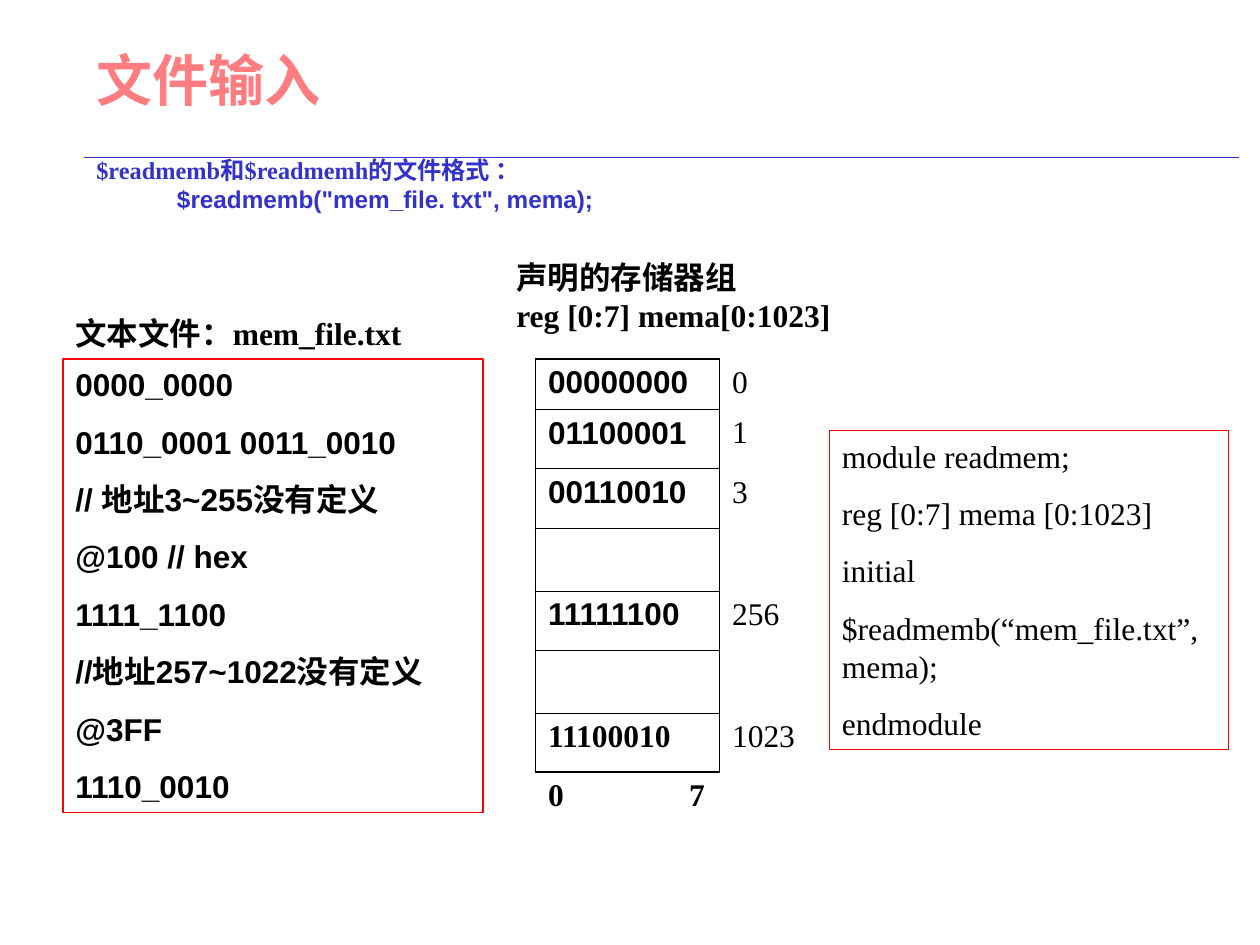
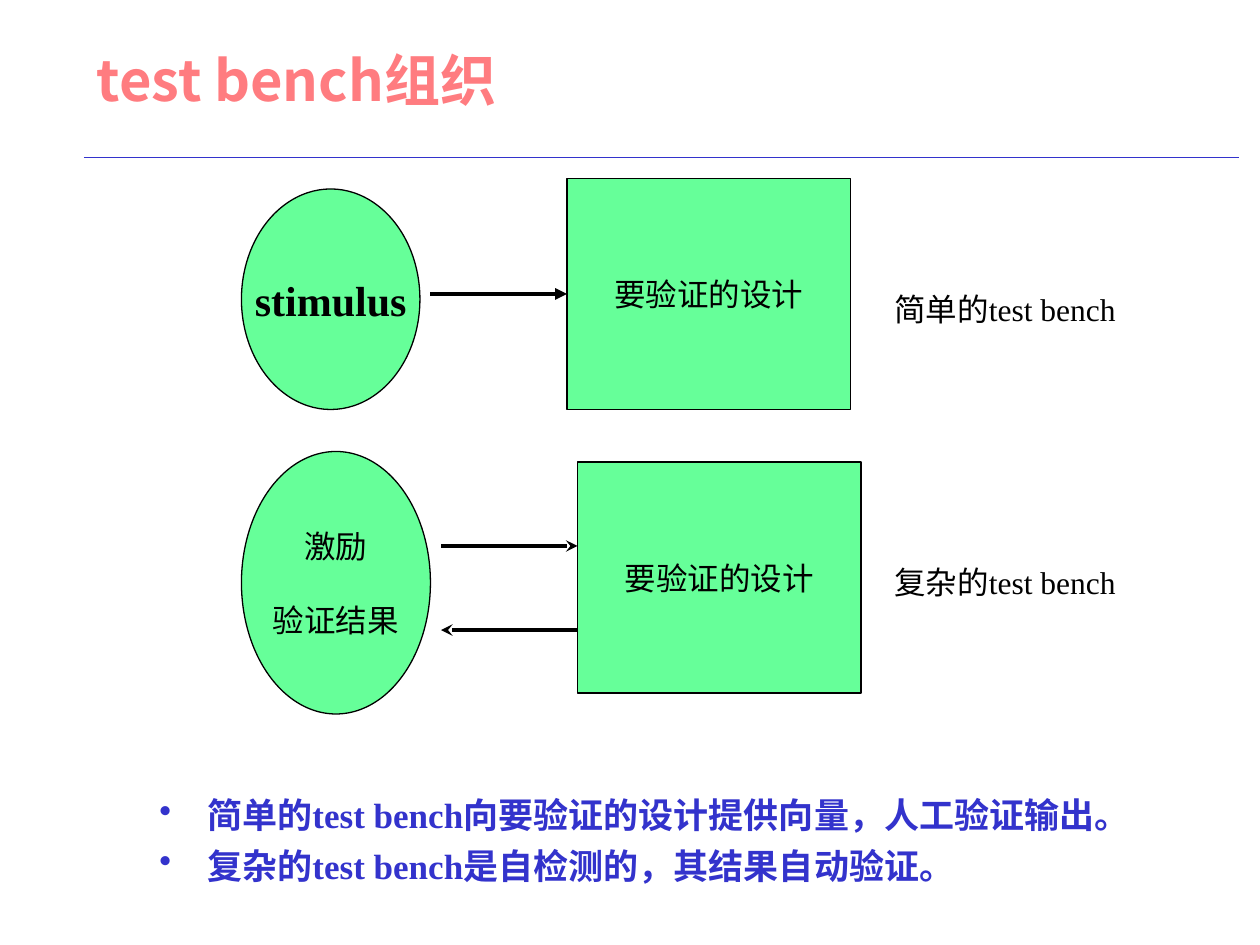
"""Build two Verilog slides: memory file input and test bench organisation."""
from lxml import etree
from pptx import Presentation
from pptx import util as u
from pptx.dml.color import RGBColor
from pptx.enum import shapes, text
from pptx.oxml.ns import qn

BLACK, BLUE, PINK, RED, GREEN = "000000", "3333CC", "FF7C80", "FF0000", "66FF99"
SERIF, SANS, CHINESE = "Times New Roman", "Arial", "Noto Sans CJK SC"
UNIT = u.Inches(10) // 120
TITLE_PLACE = (8, 0, 104, 15)
RULE = (8, 15, 118, 15)

INPUT_TITLE = "文件输入"
FORMAT_LINES = [("$readmemb和$readmemh的文件格式 ：", SERIF, 0),
                ('$readmemb("mem_file. txt", mema);', SANS, 0.64)]
FILE_HEADING = ["文本文件：mem_file.txt"]
FILE_LINES = ["0000_0000", "0110_0001 0011_0010", "// 地址3~255没有定义", "@100 // hex",
              "1111_1100", "//地址257~1022没有定义", "@3FF", "1110_0010"]
MEMORY_HEADING = ["声明的存储器组", "reg [0:7] mema[0:1023]"]
MEMORY_ROWS = [("00000000", "0", SANS, 0.4), ("01100001", "1", SANS, 0.47),
               ("00110010", "3", SANS, 0.47), ("", "", SANS, 0.5),
               ("11111100", "256", SANS, 0.47), ("", "", SANS, 0.5),
               ("11100010", "1023", SERIF, 0.47), ("0\t7", "", SERIF, 0.47)]
MEMORY_COLUMNS = (1.46, 2.04)
BIT_TAB = 1.12
MODULE_LINES = ["module readmem;", "reg [0:7] mema [0:1023]", "initial",
                "$readmemb(“mem_file.txt”, mema);", "endmodule"]

BENCH_TITLE = "test bench组织"
DESIGN = ["要验证的设计"]
BENCHES = [
    {"label": ["简单的test bench"], "label_place": (84, 27, 32, 4.8),
     "driver": ["stimulus"], "driver_style": {"size": 24, "bold": True},
     "driver_place": (23, 18, 17, 21), "design_place": (54, 17, 27, 22),
     "arrows": [(41, 28, 54, 28)], "head": "triangle"},
    {"label": ["复杂的test bench"], "label_place": (84, 53, 32, 4.8),
     "driver": ["激励", "验证结果"], "driver_style": {"before": 21},
     "driver_place": (23, 43, 18, 25), "design_place": (55, 44, 27, 22),
     "arrows": [(42, 52, 55, 52), (55, 60, 42, 60)], "head": "stealth"},
]
BENCH_NOTES = ["简单的test bench向要验证的设计提供向量，人工验证输出。",
               "复杂的test bench是自检测的，其结果自动验证。"]


def color(value):
    return RGBColor.from_string(value)


def grid(place):
    return [round(value * UNIT) for value in place]


def write(paragraph, words, font=SERIF, size=18, ink=BLACK, bold=False, before=0,
          align=text.PP_ALIGN.LEFT):
    paragraph.alignment = align
    paragraph.space_before = u.Pt(before)
    run = paragraph.add_run()
    run.text = words
    run.font.name, run.font.size, run.font.bold = font, u.Pt(size), bold
    run.font.color.rgb = color(ink)
    east_asian = etree.Element(qn("a:ea"), typeface=CHINESE)
    run.font._element.find(qn("a:latin")).addnext(east_asian)


def fill_frame(frame, lines, anchor=text.MSO_ANCHOR.TOP, wrap=True, **style):
    frame.word_wrap = wrap
    frame.auto_size = text.MSO_AUTO_SIZE.NONE
    frame.vertical_anchor = anchor
    for number, words in enumerate(lines):
        paragraph = frame.add_paragraph() if number else frame.paragraphs[0]
        write(paragraph, words, **style)
    return frame.paragraphs


def add_text(container, place, lines, **style):
    box = container.shapes.add_textbox(*grid(place))
    return fill_frame(box.text_frame, lines, **style)


def add_box(container, kind, place, lines, outline, fill=None, **style):
    shape = container.shapes.add_shape(kind, *grid(place))
    shape.shadow.inherit = False
    if fill:
        shape.fill.solid()
        shape.fill.fore_color.rgb = color(fill)
    else:
        shape.fill.background()
    shape.line.color.rgb = color(outline)
    shape.line.width = u.Pt(0.75)
    fill_frame(shape.text_frame, lines, **style)


def add_line(container, ends, ink, width, head=None):
    connector = container.shapes.add_connector(shapes.MSO_CONNECTOR.STRAIGHT, *grid(ends))
    connector.line.color.rgb = color(ink)
    connector.line.width = u.Pt(width)
    properties = connector._element.spPr
    if head:
        etree.SubElement(properties.find(qn("a:ln")), qn("a:tailEnd"), type=head)
    etree.SubElement(properties, qn("a:effectLst"))


def add_slide(presentation, title):
    slide = presentation.slides.add_slide(presentation.slide_layouts[5])
    heading = slide.shapes.title
    heading.left, heading.top, heading.width, heading.height = grid(TITLE_PLACE)
    fill_frame(heading.text_frame, [title], anchor=text.MSO_ANCHOR.MIDDLE,
               font=CHINESE, size=32, ink=PINK, bold=True)
    add_line(slide, RULE, BLUE, 0.75)
    return slide


def set_borders(cell, widths):
    cell.fill.background()
    properties = cell._tc.get_or_add_tcPr()
    for position, (side, width) in enumerate(zip("LRTB", widths)):
        line = etree.Element(qn(f"a:ln{side}"), w=str(u.Pt(width)))
        if width:
            solid = etree.SubElement(line, qn("a:solidFill"))
            etree.SubElement(solid, qn("a:srgbClr"), val=BLACK)
        else:
            etree.SubElement(line, qn("a:noFill"))
        properties.insert(position, line)


def add_memory_table(slide):
    outer, inner = 1.08, 0.45
    last = len(MEMORY_ROWS) - 1
    size = [u.Inches(sum(MEMORY_COLUMNS)), u.Inches(sum(row[3] for row in MEMORY_ROWS))]
    table = slide.shapes.add_table(last + 1, 2, *grid((51, 34.2)), *size).table
    table.first_row = table.horz_banding = False
    for column, width in zip(table.columns, MEMORY_COLUMNS):
        column.width = u.Inches(width)
    for number, (word, address, font, height) in enumerate(MEMORY_ROWS):
        table.rows[number].height = u.Inches(height)
        side = outer if number < last else 0
        top = outer if number in (0, last) else inner
        bottom = 0 if number == last else outer if number == last - 1 else inner
        set_borders(table.cell(number, 0), (side, side, top, bottom))
        set_borders(table.cell(number, 1), (side, 0, 0, 0))
        for column, (words, face) in enumerate([(word, font), (address, SERIF)]):
            if words:
                write(table.cell(number, column).text_frame.paragraphs[0], words,
                      font=face, bold=column == 0, before=4.5)
    bits = table.cell(last, 0).text_frame.paragraphs[0]._p.get_or_add_pPr()
    tabs = etree.SubElement(bits, qn("a:tabLst"))
    etree.SubElement(tabs, qn("a:tab"), pos=str(u.Inches(BIT_TAB)), algn="l")


def build_input_slide(presentation):
    slide = add_slide(presentation, INPUT_TITLE)
    frame = slide.shapes.add_textbox(*grid((8, 15, 73, 6))).text_frame
    frame.word_wrap = True
    for number, (words, font, indent) in enumerate(FORMAT_LINES):
        paragraph = frame.add_paragraph() if number else frame.paragraphs[0]
        write(paragraph, words, font=font, size=13.9, ink=BLUE, bold=True, before=4.5)
        paragraph.line_spacing = 0.7
        paragraph._p.get_or_add_pPr().set("marL", str(u.Inches(indent)))
    rectangle = shapes.MSO_SHAPE.RECTANGLE
    add_box(slide, rectangle, (6, 34.2, 40, 43.2), FILE_LINES, RED,
            font=SANS, bold=True, before=11.2)
    add_text(slide, (6, 29.3, 41, 4.8), FILE_HEADING, bold=True, before=11.2)
    add_memory_table(slide)
    add_text(slide, (48, 24, 35, 8.4), MEMORY_HEADING, bold=True)
    add_box(slide, rectangle, (79, 41, 38, 30.4), MODULE_LINES, RED, before=11.2)


def build_bench_slide(presentation):
    slide = add_slide(presentation, BENCH_TITLE)
    notes = add_text(slide, (14, 75, 98, 12), BENCH_NOTES, size=20, ink=BLUE,
                     bold=True, before=5)
    for paragraph in notes:
        properties = paragraph._p.get_or_add_pPr()
        properties.set("marL", str(u.Inches(0.38)))
        properties.set("indent", str(-u.Inches(0.38)))
        bullet_color = etree.SubElement(properties, qn("a:buClr"))
        etree.SubElement(bullet_color, qn("a:srgbClr"), val=BLUE)
        etree.SubElement(properties, qn("a:buChar"), char="•")
    centred = {"anchor": text.MSO_ANCHOR.MIDDLE, "wrap": False,
               "align": text.PP_ALIGN.CENTER}
    for bench in BENCHES:
        group = slide.shapes.add_group_shape()
        add_box(group, shapes.MSO_SHAPE.OVAL, bench["driver_place"], bench["driver"],
                BLACK, GREEN, **centred, **bench["driver_style"])
        add_box(group, shapes.MSO_SHAPE.RECTANGLE, bench["design_place"], DESIGN,
                BLACK, GREEN, **centred)
        for ends in bench["arrows"]:
            add_line(group, ends, BLACK, 2.25, bench["head"])
        add_text(slide, bench["label_place"], bench["label"], before=11.2)


def main():
    presentation = Presentation()
    presentation.slide_width, presentation.slide_height = grid((120, 90))
    build_input_slide(presentation)
    build_bench_slide(presentation)
    presentation.save("out.pptx")


if __name__ == "__main__":
    main()
